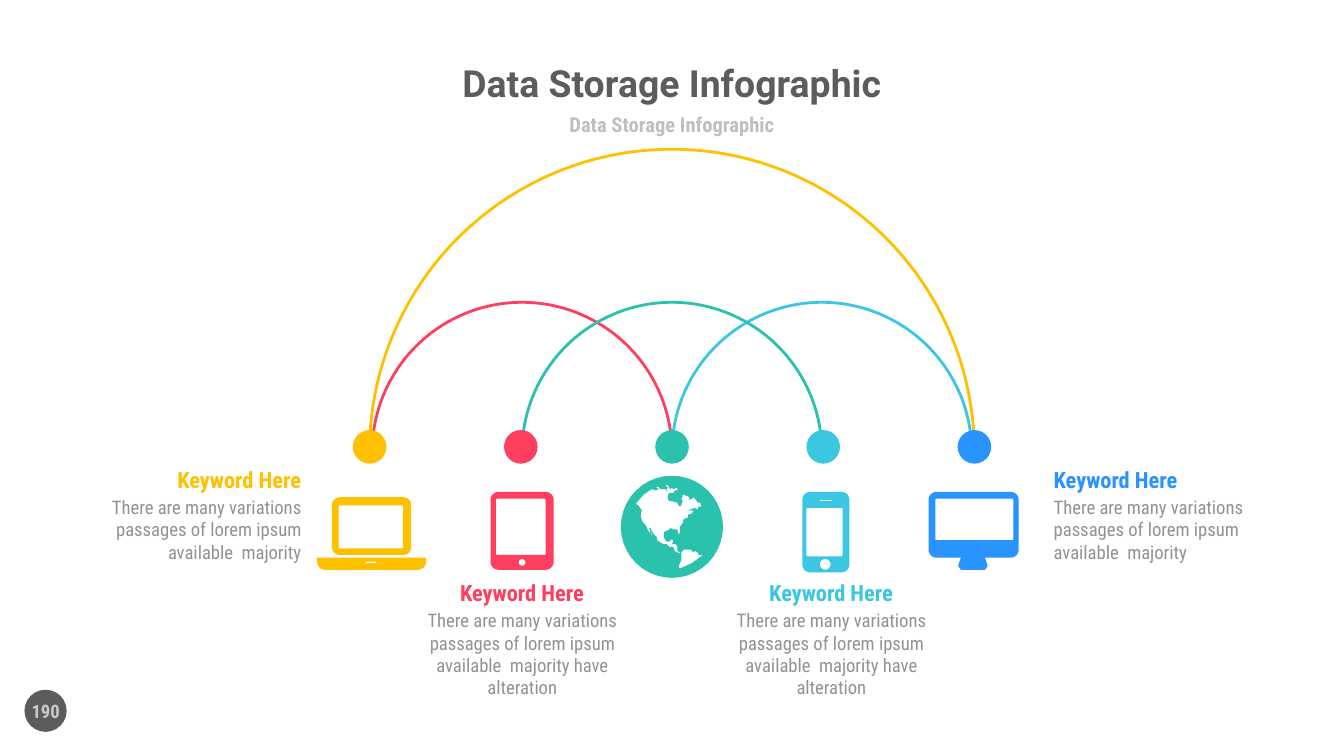
"""Build the data storage infographic slide: linked arcs, device icons and labels."""
from math import cos, pi, sin

from pptx import Presentation
from pptx.dml.color import RGBColor
from pptx.enum.shapes import MSO_SHAPE as Shape
from pptx.enum.text import MSO_ANCHOR as Anchor, PP_ALIGN as Align
from pptx.util import Pt

rgb = RGBColor.from_string
YELLOW, RED, TEAL, CYAN, BLUE = "FFC000", "FF3F5F", "2AC2AC", "3BC7E2", "2993FF"
CONDENSED = "Roboto Condensed"


def write(box, place, text, font, size, color, bold=True, align=Align.CENTER,
          anchor=Anchor.MIDDLE, wrap=False):
    box.left, box.top, box.width, box.height = [Pt(length) for length in place]
    frame = box.text_frame
    frame.margin_left = frame.margin_top = frame.margin_right = frame.margin_bottom = 0
    frame.vertical_anchor, frame.word_wrap = anchor, wrap
    para = frame.paragraphs[0]
    para.text, para.alignment = text, align
    para.font.name, para.font.size, para.font.bold = font, Pt(size), bold
    para.font.color.rgb = rgb(color)


def rounded(left, top, right, bottom, radius, top_radius=None):
    upper = radius if top_radius is None else top_radius
    corners = [(right - radius, bottom - radius, radius), (left + radius, bottom - radius, radius),
               (left + upper, top + upper, upper), (right - upper, top + upper, upper)]
    return [(x + r * cos((turn + step / 10) * pi / 2), y + r * sin((turn + step / 10) * pi / 2))
            for turn, (x, y, r) in enumerate(corners) for step in range(11)]


deck = Presentation()
deck.slide_width, deck.slide_height = Pt(720), Pt(405)
page = deck.slides.add_slide(deck.slide_layouts[5])
shapes = page.shapes

badge = shapes.add_shape(Shape.OVAL, Pt(13.1), Pt(369.5), Pt(22.6), Pt(22.6))
badge.shadow.inherit = False
badge.fill.solid()
badge.fill.fore_color.rgb = rgb("5C5C5C")
badge.line.fill.background()

write(shapes.title, (138, 30.5, 444, 28), "Data Storage Infographic", "Roboto", 20, "5C5C5C")
for place, text, size, color in [
    ((198, 58.5, 324, 16), "Data Storage Infographic", 11, "BFBFBF"),
    ((6.5, 370, 36, 21.6), "190", 10, "C9C9C9"),
]:
    write(shapes.add_textbox(0, 0, 0, 0), place, text, CONDENSED, size, color)

for center, top, diameter, color in [(360, 80, 324, YELLOW), (440.3, 162, 160.6, CYAN),
                                     (279.7, 162, 160.6, RED), (360, 162, 160.6, TEAL)]:
    arc = shapes.add_shape(Shape.ARC, Pt(center - diameter / 2), Pt(top), Pt(diameter), Pt(diameter))
    arc.shadow.inherit = False
    arc.adjustments[0], arc.adjustments[1] = 107.37, 0
    arc.fill.background()
    arc.line.color.rgb = rgb(color)
    arc.line.width = Pt(1.5)

north_america = [
    (512, 380), (514, 379), (517, 378), (519, 379), (520, 377), (522, 377), (521, 374),
    (519, 374), (518, 372), (516, 370), (515, 371), (513, 372), (513, 370), (511, 369),
    (508, 368), (508, 370), (507, 371), (508, 373), (507, 375), (507, 376), (506, 377),
    (505, 376), (504, 374), (500, 373), (498, 373), (497, 371), (497, 369), (498, 367),
    (501, 367), (502, 365), (504, 365), (504, 363), (503, 363), (501, 364), (500, 363),
    (499, 364), (498, 363), (497, 361), (495, 361), (497, 363), (496, 364), (496, 366),
    (495, 364), (493, 364), (491, 364), (490, 362), (485, 364), (487, 363), (489, 363),
    (490, 364), (488, 365), (485, 364), (479, 368), (473, 375), (475, 376), (477, 379),
    (478, 380), (477, 381), (477, 385), (478, 388), (480, 390), (482, 394), (483, 396),
    (485, 397), (485, 399), (484, 396), (483, 393), (484, 393), (486, 397), (489, 400),
    (489, 402), (492, 404), (494, 405), (496, 405), (498, 407), (501, 407), (502, 410),
    (504, 411), (506, 412), (506, 411), (504, 410), (504, 408), (504, 407), (503, 405),
    (501, 405), (500, 405), (501, 403), (500, 401), (499, 402), (498, 403), (496, 403),
    (494, 400), (494, 396), (496, 395), (498, 394), (499, 393), (501, 394), (504, 394),
    (505, 398), (506, 396), (506, 394), (506, 392), (508, 389), (509, 389), (508, 388),
    (509, 386), (510, 386), (512, 385), (512, 383), (515, 382), (516, 380), (515, 380),
    (516, 379), (514, 380)]
south_america = [
    (523, 413), (520, 413), (519, 411), (517, 410), (516, 411), (514, 409), (512, 409),
    (512, 411), (512, 409), (509, 409), (507, 411), (507, 414), (507, 417), (506, 419),
    (505, 422), (506, 423), (515, 419)]
stand = [(715, 415), (733, 415), (735, 421), (733, 424), (715, 424), (713, 421)]
laptop = [rounded(236, 415, 317, 424, 6, 0), rounded(247, 370, 306, 413, 6),
          rounded(252, 376, 300, 408, 1), rounded(272, 418, 280, 419, 0.5)]
monitor = [rounded(691, 366, 758, 415, 6), rounded(696, 371, 754, 402, 1), stand]
tablet = [rounded(365, 366, 412, 424, 6), rounded(369, 371, 406, 413, 1),
          rounded(386, 416, 391, 421, 2.5)]
phone = [rounded(597, 366, 632, 426, 6), rounded(600, 378, 627, 414, 1),
         rounded(610, 372, 619, 373, 0.5), rounded(610, 416, 618, 424, 4)]
globe = [rounded(462, 354, 538, 430, 38), north_america, south_america]

for outlines, color in [(laptop, YELLOW), (monitor, BLUE), (tablet, RED), (phone, CYAN), (globe, TEAL)]:
    builder = None
    for outline in outlines:
        points = [(x * 100, y * 100) for x, y in outline]
        if builder is None:
            builder = shapes.build_freeform(*points[0], scale=Pt(0.72) / 100)
        else:
            builder.move_to(*points[0])
        builder.add_line_segments(points[1:], close=True)
    icon = builder.convert_to_shape()
    icon.shadow.inherit = False
    icon.fill.solid()
    icon.fill.fore_color.rgb = rgb(color)
    icon.line.fill.background()

for index, color in enumerate([YELLOW, RED, TEAL, CYAN, BLUE]):
    dot = shapes.add_shape(Shape.OVAL, Pt(189 + 81 * index), Pt(230.4), Pt(18), Pt(18))
    dot.shadow.inherit = False
    dot.fill.solid()
    dot.fill.fore_color.rgb = rgb(color)
    dot.line.fill.background()

short = "There are many variations passages of lorem ipsum available  majority"
long = short + " have alteration"
for left, top, width, height, heading_left, text, color, align in [
    (380.2, 310.3, 130.3, 48, 404.6, long, CYAN, Align.CENTER),
    (38.2, 249.8, 123.1, 36, 80, short, YELLOW, Align.RIGHT),
    (564.5, 249.8, 123.1, 36, 564.5, short, BLUE, Align.LEFT),
    (214.6, 310.3, 130.3, 48, 239, long, RED, Align.CENTER),
]:
    write(shapes.add_textbox(0, 0, 0, 0), (left, top + 15.9, width, height), text,
          CONDENSED, 10, "929292", False, align, Anchor.TOP, True)
    write(shapes.add_textbox(0, 0, 0, 0), (heading_left, top, 81.4, 14.4), "Keyword Here",
          CONDENSED, 12, color, True, align, Anchor.TOP)

deck.save("out.pptx")
